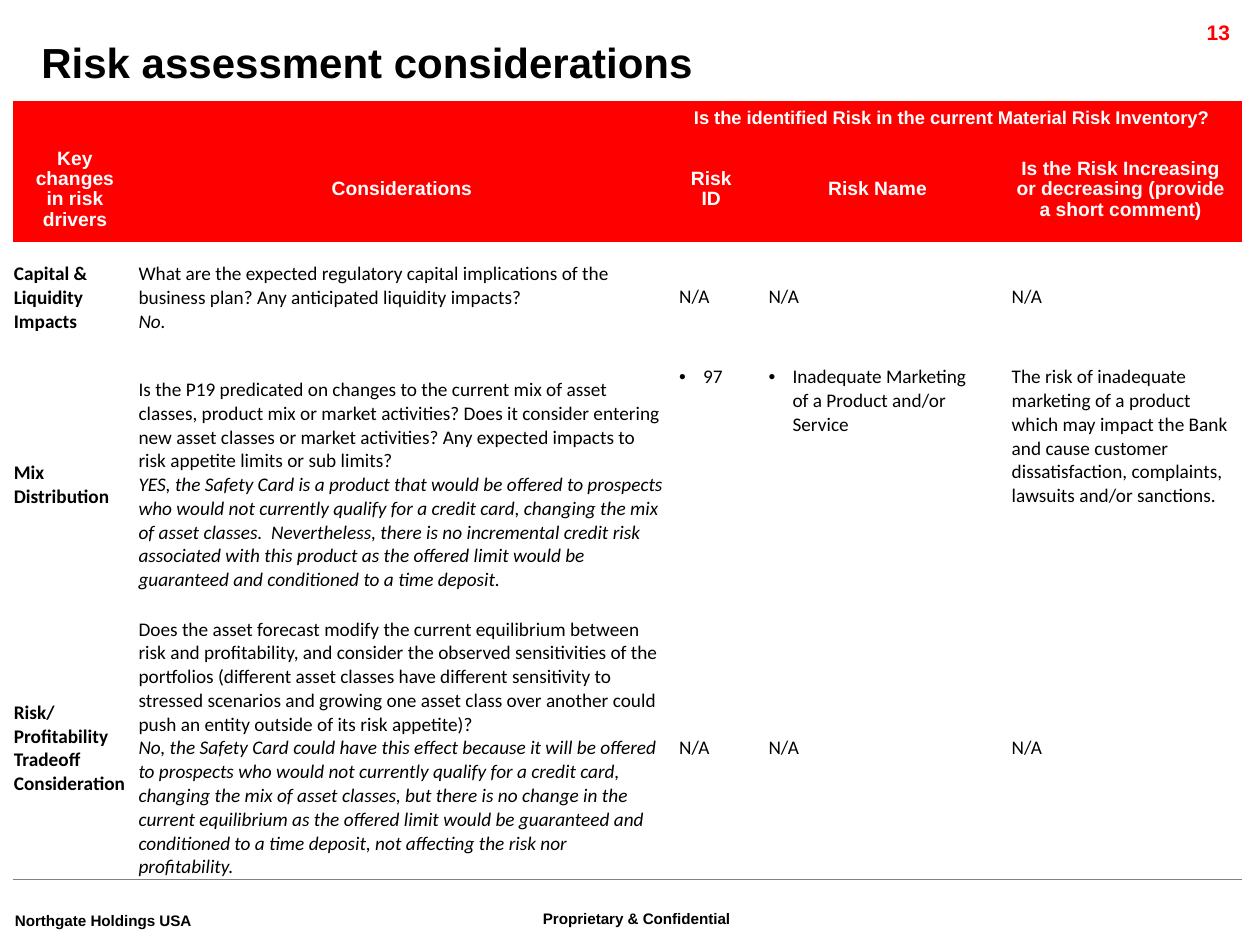
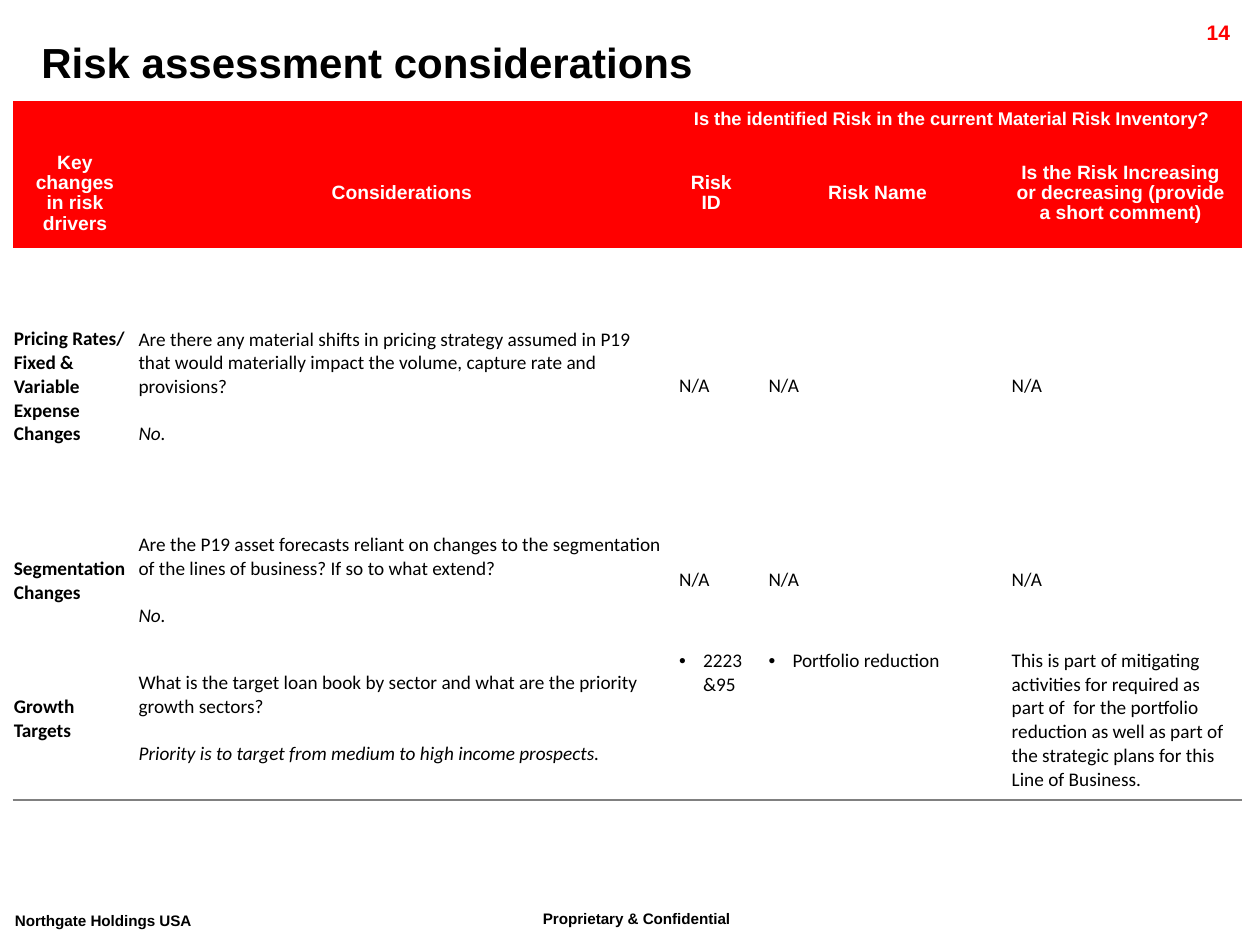
import pptx
import pptx.util
import pptx.dml.color
import pptx.enum.text
import pptx.oxml
import pptx.oxml.ns
import lxml.etree

Inches, Pt = pptx.util.Inches, pptx.util.Pt
ALIGN, ANCHOR = pptx.enum.text.PP_ALIGN, pptx.enum.text.MSO_ANCHOR

COLORS = {"red": "FF0000", "white": "FFFFFF", "black": "000000",
          "rule": "808080", "faint": "FF6666"}
HEAD_FONT, BODY_FONT = "Arial", "Calibri"
COLUMN_WIDTHS = [0.99, 4.2, 0.71, 1.93, 1.93]
TABLE_BOX = (0.1, 0.8, sum(COLUMN_WIDTHS))
BANNER = "Is the identified Risk in the current Material Risk Inventory? "
HEADINGS = ["Key changes in risk drivers", "Considerations", "Risk ID", "Risk Name",
            "Is the Risk Increasing or decreasing (provide a short comment)"]
NOT_APPLICABLE = ["N/A"] * 3
BLANK_LINE = 13.4

# Each row: risk driver, question, answer, and the three inventory cells.
PAGES = [
    {"number": "13", "heights": [0.29, 0.83, 0.88, 2.09, 2.09], "answer_gap": 0,
     "head_rules": [("rule", 1), ("rule", 1)],
     "rows": [
         ("Capital & Liquidity Impacts",
          "What are the expected regulatory capital implications of the business plan? "
          "Any anticipated liquidity impacts?",
          "No.", NOT_APPLICABLE),
         ("Mix Distribution",
          "Is the P19 predicated on changes to the current mix of asset classes, product mix "
          "or market activities? Does it consider entering new asset classes or market "
          "activities? Any expected impacts to risk appetite limits or sub limits?",
          "YES, the Safety Card is a product that would be offered to prospects who would not "
          "currently qualify for a credit card, changing the mix of asset classes.  "
          "Nevertheless, there is no incremental credit risk associated with this product as "
          "the offered limit would be guaranteed and conditioned to a time deposit.",
          ["97", "Inadequate Marketing of a Product and/or Service",
           "The risk of inadequate marketing of a product which may impact the Bank and cause "
           "customer dissatisfaction, complaints, lawsuits and/or sanctions."]),
         ("Risk/ Profitability Tradeoff Consideration",
          "Does the asset forecast modify the current equilibrium between risk and "
          "profitability, and consider the observed sensitivities of the portfolios (different "
          "asset classes have different sensitivity to stressed scenarios and growing one "
          "asset class over another could push an entity outside of its risk appetite)?",
          "No, the Safety Card could have this effect because it will be offered to prospects "
          "who would not currently qualify for a credit card, changing the mix of asset "
          "classes, but there is no change in the current equilibrium as the offered limit "
          "would be guaranteed and conditioned to a time deposit, not affecting the risk nor "
          "profitability.", NOT_APPLICABLE)]},
    {"number": "14", "heights": [0.3, 0.87, 2.19, 0.89, 1.3], "answer_gap": BLANK_LINE,
     "head_rules": [("faint", 0.25), None],
     "rows": [
         ("Pricing Rates/ Fixed & Variable Expense Changes",
          "Are there any material shifts in pricing strategy assumed in P19 that would "
          "materially impact the volume, capture rate and provisions?",
          "No.", NOT_APPLICABLE),
         ("Segmentation Changes",
          "Are the P19 asset forecasts reliant on changes to the segmentation of the lines of "
          "business? If so to what extend?",
          "No.", NOT_APPLICABLE),
         ("Growth Targets",
          "What is the target loan book by sector and what are the priority growth sectors?",
          "Priority is to target from medium to high income prospects.",
          ["2223&95", "Portfolio reduction",
           "This is part of mitigating activities for required as part of  for the portfolio "
           "reduction as well as part of the strategic plans for this Line of Business."])]},
]


def add_span(para, text, size, font=HEAD_FONT, color="black", bold=False, italic=False):
    span = para.add_run()
    span.text = text
    span.font.size = Pt(size)
    span.font.name = font
    span.font.bold = bold
    span.font.italic = italic
    span.font.color.rgb = pptx.dml.color.RGBColor.from_string(COLORS[color])
    return span


def add_label(page, box, text, size, color="black", align=ALIGN.LEFT, wrap=True):
    frame = page.shapes.add_textbox(*map(Inches, box)).text_frame
    frame.word_wrap = wrap
    para = frame.paragraphs[0]
    para.alignment = align
    return add_span(para, text, size, color=color, bold=True)


def add_footer(page, box, text, wrap=True):
    """Add a raised footer label."""
    span = add_label(page, box, text, 15, wrap=wrap)
    span.font._element.set("baseline", "30000")


def add_frame(page, number):
    """Add the title, page number and footers every slide carries."""
    add_footer(page, (4.21, 7.14, 2.18, 0.35), "Proprietary & Confidential")
    add_footer(page, (0.02, 7.16, 1.91, 0.35), "Northgate Holdings USA", wrap=False)
    add_label(page, (8.91, 0.11, 0.95, 0.24), number, 12, "red", ALIGN.RIGHT)
    add_label(page, (0.23, 0.24, 9.82, 0.5), "Risk assessment considerations", 24)


def style_cell(cell, fill, rule):
    """Fill the cell and leave it only a bottom rule, given as (colour, points) or None."""
    props = cell._tc.get_or_add_tcPr()
    for side in ("lnL", "lnR", "lnT", "lnB"):
        line = lxml.etree.SubElement(props, pptx.oxml.ns.qn("a:" + side))
        if side == "lnB" and rule:
            color, width = rule
            line.set("w", str(Pt(width)))
            solid = lxml.etree.SubElement(line, pptx.oxml.ns.qn("a:solidFill"))
            lxml.etree.SubElement(solid, pptx.oxml.ns.qn("a:srgbClr"), val=COLORS[color])
        else:
            lxml.etree.SubElement(line, pptx.oxml.ns.qn("a:noFill"))
    cell.fill.solid()
    cell.fill.fore_color.rgb = pptx.dml.color.RGBColor.from_string(COLORS[fill])


def set_margins(cell, left, top, right, bottom):
    cell.margin_left, cell.margin_top = Inches(left), Inches(top)
    cell.margin_right, cell.margin_bottom = Inches(right), Inches(bottom)


def add_bullet(para):
    props = para._p.get_or_add_pPr()
    props.set("marL", str(Inches(0.19)))
    props.set("indent", str(-Inches(0.19)))
    lxml.etree.SubElement(props, pptx.oxml.ns.qn("a:buFont"), typeface="Arial")
    lxml.etree.SubElement(props, pptx.oxml.ns.qn("a:buChar"), char="•")


def write_heading(cell, text, size):
    cell.vertical_anchor = ANCHOR.MIDDLE
    para = cell.text_frame.paragraphs[0]
    para.alignment = ALIGN.CENTER
    para.line_spacing = 0.95
    add_span(para, text, size, color="white", bold=True)


def write_header(table):
    table.cell(0, 0).merge(table.cell(0, 1))
    table.cell(0, 2).merge(table.cell(0, 4))
    for column, heading in enumerate(HEADINGS):
        end = table.cell(0, column).text_frame.paragraphs[0]._p.get_or_add_endParaRPr()
        end.set("sz", "1050")
        write_heading(table.cell(1, column), heading, 11)
    write_heading(table.cell(0, 2), BANNER, 10.5)


def write_risk_row(cells, driver, question, answer, inventory, answer_gap):
    for cell in cells[:2]:
        cell.vertical_anchor = ANCHOR.MIDDLE
        set_margins(cell, 0.01, 0.01, 0.01, 0)
    add_span(cells[0].text_frame.paragraphs[0], driver, 11, BODY_FONT, bold=True)
    consideration = cells[1].text_frame
    add_span(consideration.paragraphs[0], question, 11, BODY_FONT)
    reply = consideration.add_paragraph()
    reply.space_before = Pt(answer_gap)
    add_span(reply, answer, 11, BODY_FONT, italic=True)

    identified = inventory != NOT_APPLICABLE
    for column, (cell, text) in enumerate(zip(cells[2:], inventory)):
        set_margins(cell, 0.1, 0.1, 0.1, 0.1)
        cell.vertical_anchor = ANCHOR.TOP if identified else ANCHOR.MIDDLE
        para = cell.text_frame.paragraphs[0]
        if identified and column < 2:
            add_bullet(para)
        add_span(para, text, 11, BODY_FONT)


def add_risk_table(page, box, content):
    left, top, width = box
    heights = content["heights"]
    table = page.shapes.add_table(len(heights), len(COLUMN_WIDTHS), Inches(left), Inches(top),
                                  Inches(width), Inches(sum(heights))).table
    table.first_row = table.horz_banding = False
    for column, column_width in zip(table.columns, COLUMN_WIDTHS):
        column.width = Inches(column_width)
    rules = content["head_rules"] + [("rule", 1)] * len(content["rows"])
    for index, (row, height) in enumerate(zip(table.rows, heights)):
        row.height = Inches(height)
        for cell in row.cells:
            style_cell(cell, "red" if index < 2 else "white", rules[index])
    write_header(table)
    for index, risk in enumerate(content["rows"], start=2):
        write_risk_row(list(table.rows[index].cells), *risk, content["answer_gap"])


def main():
    deck = pptx.Presentation()
    deck.slide_width, deck.slide_height = Inches(10), Inches(7.5)
    for content in PAGES:
        page = deck.slides.add_slide(deck.slide_layouts[6])
        add_frame(page, content["number"])
        add_risk_table(page, TABLE_BOX, content)
    deck.save("out.pptx")


if __name__ == "__main__":
    main()
